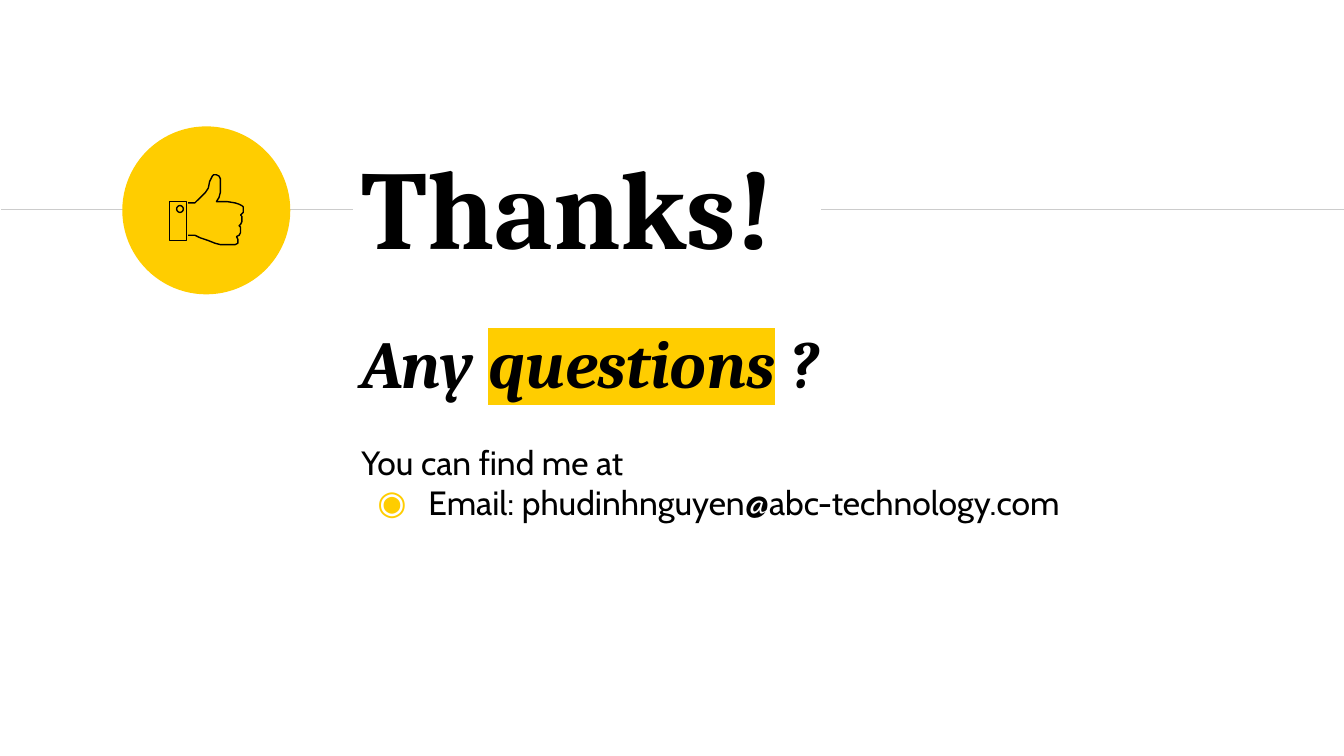
import math

import pptx
import pptx.dml.color
import pptx.enum.shapes
import pptx.enum.text
import pptx.util
from lxml import etree
from pptx.oxml.ns import qn

Inches = pptx.util.Inches
Pt = pptx.util.Pt

UNITS_PER_INCH = 1000
CUFF = [(1.26, 1.5), (1.26, 1.79), (1.39, 1.79), (1.39, 1.5)]
BUTTON = [(1.34 + 0.025 * math.cos(math.radians(a)), 1.555 + 0.025 * math.sin(math.radians(a)))
          for a in range(0, 360, 20)]
HAND = [
    (1.4, 1.75), (1.45, 1.75), (1.49, 1.77), (1.55, 1.79), (1.6, 1.81), (1.64, 1.82),
    (1.69, 1.82), (1.75, 1.82), (1.77, 1.81), (1.77, 1.78), (1.76, 1.76), (1.78, 1.75),
    (1.79, 1.73), (1.79, 1.69), (1.78, 1.68), (1.79, 1.67), (1.8, 1.65), (1.8, 1.61),
    (1.79, 1.6), (1.8, 1.59), (1.81, 1.58), (1.81, 1.54), (1.8, 1.53), (1.78, 1.52),
    (1.75, 1.51), (1.69, 1.5), (1.61, 1.5), (1.63, 1.47), (1.64, 1.43), (1.64, 1.33),
    (1.63, 1.31), (1.61, 1.3), (1.59, 1.3), (1.58, 1.31), (1.56, 1.35), (1.55, 1.4),
    (1.53, 1.43), (1.51, 1.45), (1.48, 1.48), (1.45, 1.51), (1.4, 1.51),
]


def rgb(value):
    return pptx.dml.color.RGBColor.from_string(value)


class SlideBuilder:
    """Draw styled elements on the current slide."""

    accent = "FFCD00"
    ink = "000000"
    rule = "CCCCCC"
    heading_font = "Cambria"
    body_font = "Cabin"
    line_width = Pt(0.75)

    def __init__(self, slide):
        self.slide = slide

    def line(self, x1, x2, y):
        sp = self.slide.shapes.add_connector(
            pptx.enum.shapes.MSO_CONNECTOR.STRAIGHT, Inches(x1), Inches(y), Inches(x2), Inches(y))
        sp.line.color.rgb = rgb(self.rule)
        sp.line.width = self.line_width
        etree.SubElement(sp._element.spPr, qn("a:effectLst"))

    def circle(self, x, y, size):
        sp = self.slide.shapes.add_shape(
            pptx.enum.shapes.MSO_SHAPE.OVAL, Inches(x), Inches(y), Inches(size), Inches(size))
        sp.shadow.inherit = False
        sp.fill.solid()
        sp.fill.fore_color.rgb = rgb(self.accent)
        sp.line.fill.background()

    def outline(self, group, contours, close):
        first, *others = [[(x * UNITS_PER_INCH, y * UNITS_PER_INCH) for x, y in points]
                          for points in contours]
        builder = group.shapes.build_freeform(*first[0], scale=Inches(1) / UNITS_PER_INCH)
        builder.add_line_segments(first[1:], close=close)
        for points in others:
            builder.move_to(*points[0])
            builder.add_line_segments(points[1:], close=close)
        sp = builder.convert_to_shape()
        sp.shadow.inherit = False
        sp.fill.background()
        sp.line.color.rgb = rgb(self.ink)
        sp.line.width = self.line_width

    def text_box(self, x, y, w, h, anchor):
        sp = self.slide.shapes.add_textbox(Inches(x), Inches(y), Inches(w), Inches(h))
        tf = sp.text_frame
        tf.word_wrap = True
        tf.vertical_anchor = anchor
        tf.margin_left = tf.margin_right = tf.margin_top = tf.margin_bottom = Inches(0.1)
        return tf

    def run(self, p, text, font, size, bold=False, italic=False, highlight=None):
        r = p.add_run()
        r.text = text
        r.font.name = font
        r.font.size = Pt(size)
        r.font.bold = bold
        r.font.italic = italic
        r.font.color.rgb = rgb(self.ink)
        if highlight:
            mark = etree.Element(qn("a:highlight"))
            etree.SubElement(mark, qn("a:srgbClr"), val=highlight)
            r.font._element.find(qn("a:latin")).addprevious(mark)

    def bullet(self, p, char, left, indent):
        pPr = p._p.get_or_add_pPr()
        pPr.set("marL", str(Inches(left)))
        pPr.set("indent", str(Inches(indent)))
        color = etree.SubElement(pPr, qn("a:buClr"))
        etree.SubElement(color, qn("a:srgbClr"), val=self.accent)
        etree.SubElement(pPr, qn("a:buFont"), typeface=self.body_font)
        etree.SubElement(pPr, qn("a:buChar"), char=char)


def main():
    prs = pptx.Presentation()
    prs.slide_width = Inches(10)
    prs.slide_height = Inches(10 * 9 / 16)
    s = prs.slides.add_slide(prs.slide_layouts[6])
    b = SlideBuilder(s)

    tf = b.text_box(2.59, 2.29, 6.07, 0.86, pptx.enum.text.MSO_ANCHOR.TOP)
    p = tf.paragraphs[0]
    p.space_after = Pt(21.5)
    for text, highlight in [("Any ", None), ("questions", b.accent), (" ?", None)]:
        b.run(p, text, b.heading_font, 36, bold=True, italic=True, highlight=highlight)
    b.run(tf.add_paragraph(), "You can find me at", b.body_font, 18)
    p = tf.add_paragraph()
    b.bullet(p, "◉", 0.5, -0.38)
    b.run(p, "Email: phudinhnguyen@abc-technology.com", b.body_font, 18)

    b.line(0.01, 2.63, 1.56)
    tf = b.text_box(2.59, 0.89, 5.37, 1.27, pptx.enum.text.MSO_ANCHOR.MIDDLE)
    b.run(tf.paragraphs[0], "Thanks!", b.heading_font, 60, bold=True)
    b.line(6.11, 10, 1.56)

    b.circle(0.91, 0.94, 1.25)
    thumb = s.shapes.add_group_shape()
    b.outline(thumb, [CUFF, BUTTON], close=True)
    b.outline(thumb, [HAND], close=False)

    prs.save("out.pptx")


if __name__ == "__main__":
    main()
